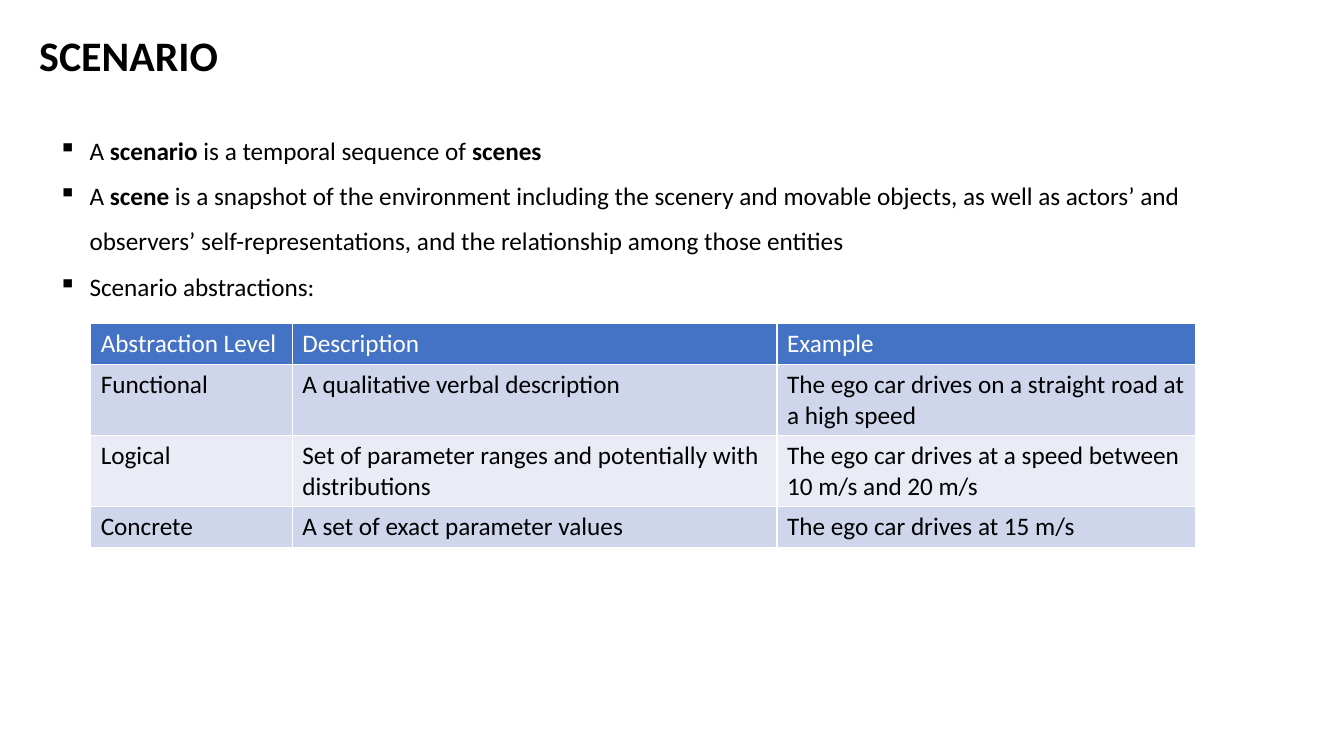
from lxml.etree import SubElement
from pptx import Presentation
from pptx.dml.color import RGBColor
from pptx.enum.text import MSO_AUTO_SIZE
from pptx.oxml.ns import qn
from pptx.util import Inches, Pt

SLIDE_WIDTH, SLIDE_HEIGHT = Inches(13.33), Inches(7.5)
FONT = "Calibri"
BLACK, WHITE = "000000", "FFFFFF"
HEADER_FILL, BAND_FILLS = "4472C4", ("CFD5EA", "E9EBF5")
BULLETS = [
    "A *scenario* is a temporal sequence of *scenes*",
    "A *scene* is a snapshot of the environment including the scenery and movable objects, "
    "as well as actors’ and observers’ self-representations, and the relationship among those entities",
    "Scenario abstractions:",
]
ABSTRACTIONS = [
    ("Abstraction Level", "Description", "Example"),
    ("Functional", "A qualitative verbal description",
     "The ego car drives on a straight road at a high speed"),
    ("Logical", "Set of parameter ranges and potentially with distributions",
     "The ego car drives at a speed between 10 m/s and 20 m/s"),
    ("Concrete", "A set of exact parameter values", "The ego car drives at 15 m/s"),
]
COLUMN_SHARES = (15, 36.07, 31.13)
ROW_SHARES = (5.4, 9.4, 9.4, 5.4)


def across(percent):
    """Return a share of the slide's width."""
    return round(SLIDE_WIDTH * percent / 100)


def down(percent):
    """Return a share of the slide's height."""
    return round(SLIDE_HEIGHT * percent / 100)


def color(value):
    """Turn a hex string into a colour."""
    return RGBColor.from_string(value)


def add_runs(paragraph, text, size=18, fill=BLACK):
    """Write text run by run, bold between asterisks."""
    for index, part in enumerate(text.split("*")):
        if part:
            run = paragraph.add_run()
            run.text = part
            run.font.name = FONT
            run.font.size = Pt(size)
            run.font.bold = index % 2 == 1
            run.font.color.rgb = color(fill)


def add_text_box(slide, left, top, width, height):
    """Add a wrapping text box and return its text frame."""
    shape = slide.shapes.add_textbox(across(left), down(top), across(width), down(height))
    frame = shape.text_frame
    frame.word_wrap = True
    frame.auto_size = MSO_AUTO_SIZE.SHAPE_TO_FIT_TEXT
    return frame


def add_bullets(frame, items):
    """Fill a text frame with square-bulleted paragraphs."""
    for index, item in enumerate(items):
        paragraph = frame.add_paragraph() if index else frame.paragraphs[0]
        paragraph.line_spacing = 1.5
        properties = paragraph._p.get_or_add_pPr()
        properties.set("marL", str(Inches(0.31)))
        properties.set("indent", str(-Inches(0.31)))
        SubElement(properties, qn("a:buChar")).set("char", "▪")
        add_runs(paragraph, item)


def style_cell(cell, fill):
    """Give a cell thin white borders and a solid fill."""
    properties = cell._tc.get_or_add_tcPr()
    for side in ("lnL", "lnR", "lnT", "lnB"):
        line = SubElement(properties, qn(f"a:{side}"), w=str(Pt(1)))
        SubElement(SubElement(line, qn("a:solidFill")), qn("a:srgbClr"), val=WHITE)
    cell.fill.solid()
    cell.fill.fore_color.rgb = color(fill)


def add_abstraction_table(slide, left, top):
    """Add the table of scenario abstraction levels."""
    table = slide.shapes.add_table(
        len(ABSTRACTIONS), len(COLUMN_SHARES), across(left), down(top),
        across(sum(COLUMN_SHARES)), down(sum(ROW_SHARES))).table
    table.first_row = table.horz_banding = False
    for column, share in zip(table.columns, COLUMN_SHARES):
        column.width = across(share)
    for row_index, (row, share, texts) in enumerate(zip(table.rows, ROW_SHARES, ABSTRACTIONS)):
        row.height = down(share)
        fill = BAND_FILLS[(row_index - 1) % 2] if row_index else HEADER_FILL
        for cell, text in zip(row.cells, texts):
            style_cell(cell, fill)
            add_runs(cell.text_frame.paragraphs[0], text, fill=BLACK if row_index else WHITE)


def main():
    """Build and save the scenario slide."""
    presentation = Presentation()
    presentation.slide_width, presentation.slide_height = SLIDE_WIDTH, SLIDE_HEIGHT
    slide = presentation.slides.add_slide(presentation.slide_layouts[6])
    title = add_text_box(slide, 2.18, 3.2, 91.37, 8.13)
    add_runs(title.paragraphs[0], "*SCENARIO*", size=30)
    add_bullets(add_text_box(slide, 3.6, 15.2, 92.42, 24.93), BULLETS)
    add_abstraction_table(slide, 6.75, 42.8)
    presentation.save("out.pptx")


if __name__ == "__main__":
    main()
